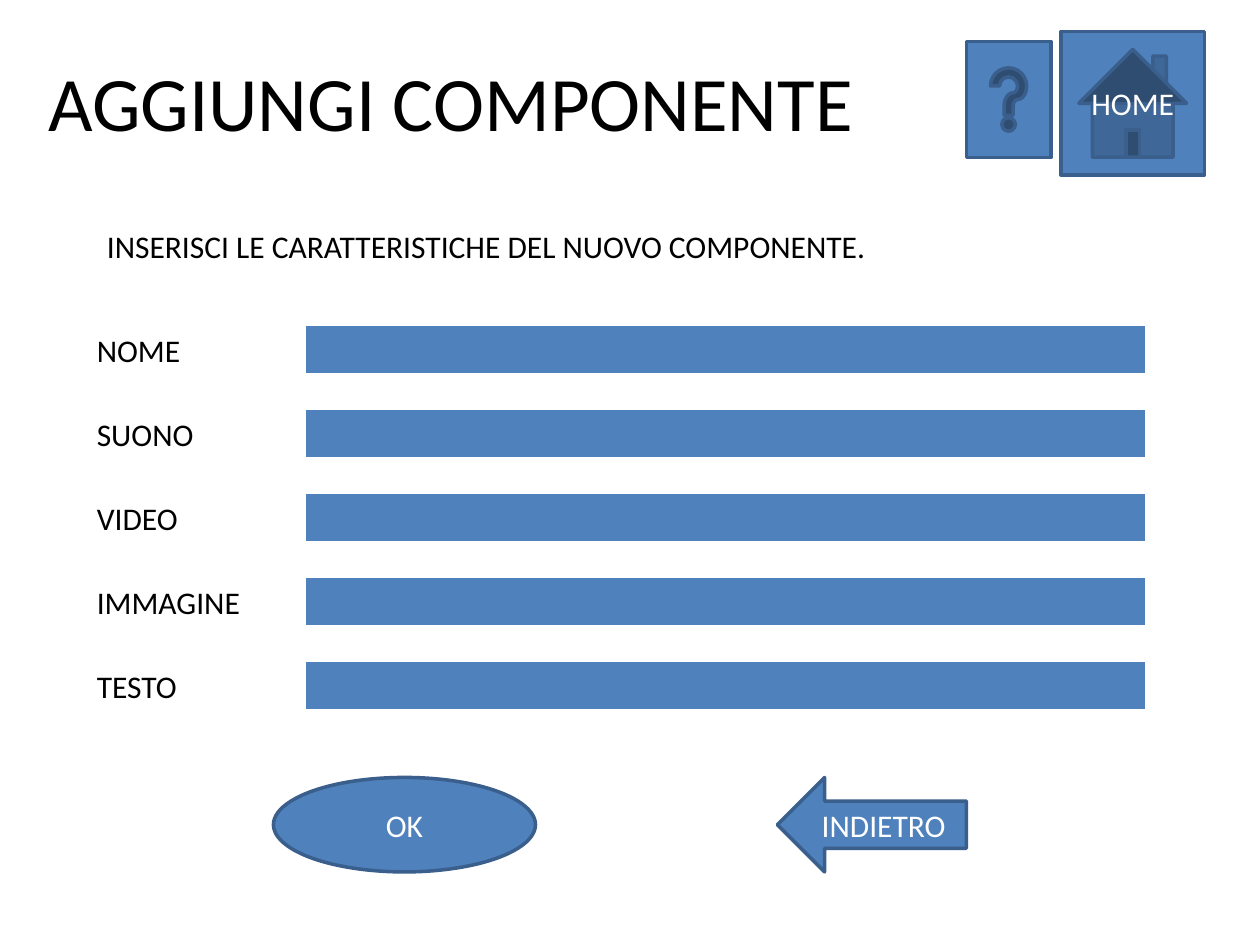
from lxml import etree
from pptx import Presentation
from pptx.dml.color import RGBColor
from pptx.enum import shapes, text
from pptx.oxml import ns
from pptx.util import Inches, Pt

BLACK = RGBColor(0x00, 0x00, 0x00)
WHITE = RGBColor(0xFF, 0xFF, 0xFF)
BLUE = RGBColor(0x4F, 0x81, 0xBD)
NAVY = RGBColor(0x3A, 0x5F, 0x8C)
KIND = shapes.MSO_SHAPE
MID = text.MSO_ANCHOR.MIDDLE
TOP = text.MSO_ANCHOR.TOP
CENTER = text.PP_ALIGN.CENTER
LEFT = text.PP_ALIGN.LEFT


def write(shape, words, size=18, color=BLACK, align=LEFT, anchor=TOP, wrap=True):
    frame = shape.text_frame
    frame.word_wrap = wrap
    frame.vertical_anchor = anchor
    para = frame.paragraphs[0]
    para.alignment = align
    run = para.add_run()
    run.text = words
    run.font.size = Pt(size)
    run.font.name = "Calibri"
    run.font.color.rgb = color


deck = Presentation()
deck.slide_width = Inches(10)
deck.slide_height = Inches(7.5)
slide = deck.slides.add_slide(deck.slide_layouts[6])
items = slide.shapes

title = items.add_textbox(Inches(-0.92), Inches(0.17), Inches(9), Inches(1.25))
write(title, "AGGIUNGI COMPONENTE", size=44, align=CENTER, anchor=MID)
hint = items.add_textbox(Inches(0.75), Inches(1.75), Inches(6.28), Inches(0.4))
write(hint, "INSERISCI LE CARATTERISTICHE DEL NUOVO COMPONENTE.", wrap=False)

fields = ["NOME", "SUONO", "VIDEO", "IMMAGINE", "TESTO"]
edges = [("lnL", 1), ("lnR", 1), ("lnT", 1), ("lnB", 3)]
for row, name in enumerate(fields):
    top = Inches(2.58 + row * 2 / 3)
    label = items.add_textbox(Inches(0.67), top, Inches(1.67), Inches(0.4))
    write(label, name)
    table = items.add_table(1, 1, Inches(2.42), top, Inches(6.67), Inches(0.4)).table
    cell = table.cell(0, 0)
    cell.text_frame.paragraphs[0].font.size = Pt(18)
    cell.fill.solid()
    cell.fill.fore_color.rgb = BLUE
    props = cell._tc.get_or_add_tcPr()
    for spot, (tag, width) in enumerate(edges):
        edge = etree.Element(ns.qn("a:" + tag), w=str(Pt(width)))
        fill = etree.SubElement(edge, ns.qn("a:solidFill"))
        etree.SubElement(fill, ns.qn("a:srgbClr"), val=str(WHITE))
        props.insert(spot, edge)

buttons = [
    (KIND.ACTION_BUTTON_HOME, 8.42, 0.25, 1.14, 1.14, "HOME"),
    (KIND.LEFT_ARROW, 6.17, 6.17, 1.5, 0.75, "INDIETRO"),
    (KIND.OVAL, 2.17, 6.17, 2.08, 0.75, "OK"),
    (KIND.ACTION_BUTTON_HELP, 7.67, 0.33, 0.67, 0.92, ""),
]
for kind, left, top, width, height, words in buttons:
    button = items.add_shape(kind, Inches(left), Inches(top), Inches(width), Inches(height))
    button.shadow.inherit = False
    button.fill.solid()
    button.fill.fore_color.rgb = BLUE
    button.line.color.rgb = NAVY
    button.line.width = Pt(2)
    if words:
        write(button, words, color=WHITE, align=CENTER, anchor=MID)

deck.save("out.pptx")
